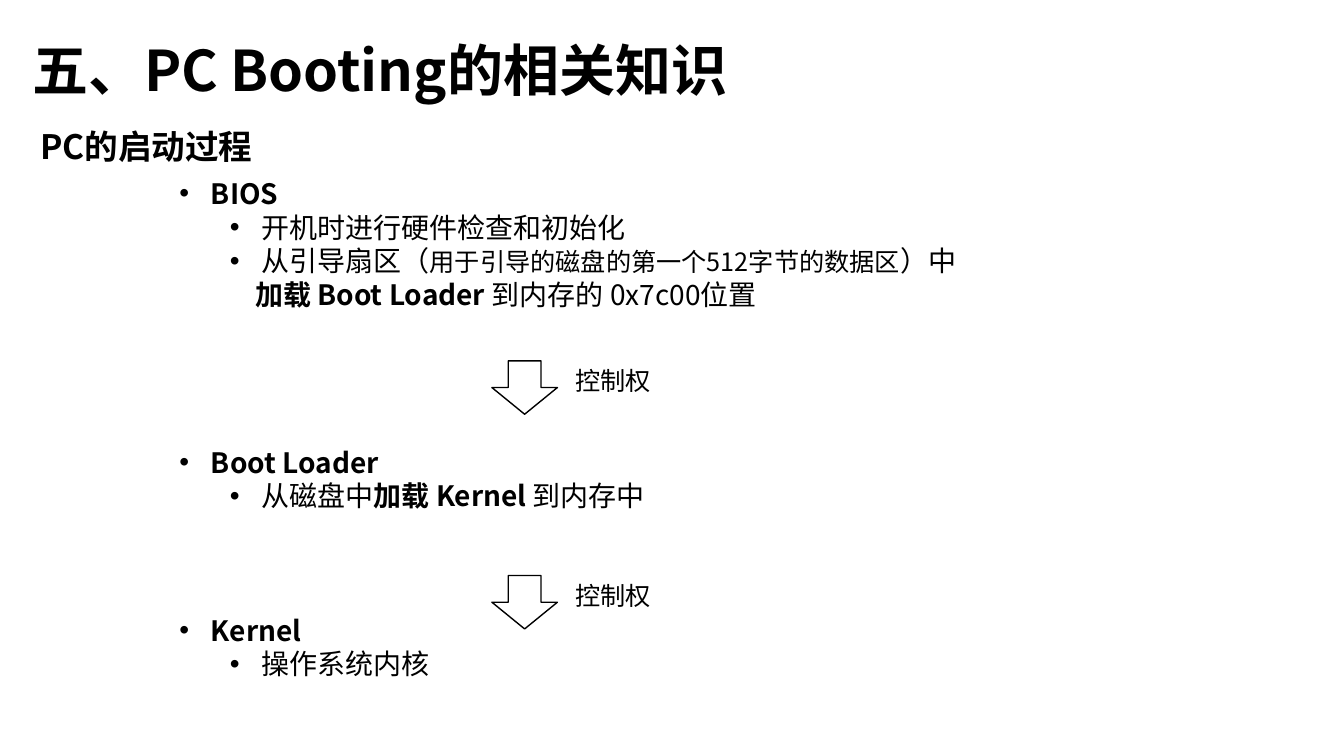
from dataclasses import dataclass

from lxml.etree import SubElement
from pptx import Presentation
from pptx.dml.color import RGBColor
from pptx.enum.shapes import MSO_SHAPE
from pptx.enum.text import MSO_ANCHOR, MSO_AUTO_SIZE, PP_ALIGN
from pptx.oxml.ns import qn
from pptx.util import Pt

FONT = "Noto Sans CJK SC"
COLORS = {"text": "000000", "line": "000000", "fill": "FFFFFF"}
LINE = 1.2  # line pitch relative to the text size
BODY_SIZE = 20
HANGING = 22.5


@dataclass
class Run:
    text: str
    bold: bool = False
    size: float = BODY_SIZE


@dataclass
class Item:
    runs: list[Run]
    level: int = 0
    margin: float = HANGING
    bullet: bool = True
    gap_lines: int = 0


def heading(text: str, gap_lines: int = 0) -> Item:
    return Item([Run(text, bold=True)], gap_lines=gap_lines)


def detail(*runs: Run, margin: float = 58.5, bullet: bool = True) -> Item:
    return Item(list(runs), level=1, margin=margin, bullet=bullet)


ITEMS = [
    heading("BIOS"),
    detail(Run("开机时进行硬件检查和初始化")),
    detail(Run("从引导扇区（"), Run("用于引导的磁盘的第一个512字节的数据区", size=18), Run("）中")),
    detail(Run("加载 Boot Loader ", bold=True), Run("到内存的 0x7c00位置"),
           margin=54, bullet=False),
    heading("Boot Loader", gap_lines=4),
    detail(Run("从磁盘中"), Run("加载 Kernel ", bold=True), Run("到内存中")),
    heading("Kernel", gap_lines=3),
    detail(Run("操作系统内核")),
]
HANDOVER_TOPS = [257.76, 411.12]


def color(name: str) -> RGBColor:
    return RGBColor.from_string(COLORS[name])


def add_text(p, text: str, *, size: float = BODY_SIZE, bold: bool = False) -> None:
    r = p.add_run()
    r.text = text
    r.font.size = Pt(size)
    r.font.bold = bold
    r.font.name = FONT
    r.font.color.rgb = color("text")
    SubElement(r.font._element, qn("a:ea"), typeface=FONT)


def place(sp, left: float, top: float, width: float, height: float):
    """Move the shape and return its text frame, ready for text."""
    sp.left, sp.top, sp.width, sp.height = map(Pt, (left, top, width, height))
    tf = sp.text_frame
    tf.word_wrap = True
    tf.auto_size = MSO_AUTO_SIZE.NONE
    return tf


def add_label(slide, text: str, box: tuple[float, ...], *, size: float, bold: bool = False) -> None:
    tf = place(slide.shapes.add_textbox(0, 0, 0, 0), *box)
    p = tf.paragraphs[0]
    p.line_spacing = Pt(size * LINE)
    add_text(p, text, size=size, bold=bold)


def add_item(p, item: Item) -> None:
    pitch = BODY_SIZE * LINE
    p.level = item.level
    p.alignment = PP_ALIGN.LEFT
    p.line_spacing = Pt(pitch)
    p.space_before = Pt(item.gap_lines * pitch)
    p.space_after = Pt(0)
    pPr = p._p.get_or_add_pPr()
    pPr.set("marL", str(Pt(item.margin)))
    pPr.set("indent", str(Pt(-HANGING if item.bullet else 0)))
    if item.bullet:
        SubElement(pPr, qn("a:buFont"), typeface="Arial")
        SubElement(pPr, qn("a:buChar"), char="•")
    else:
        SubElement(pPr, qn("a:buNone"))
    for run in item.runs:
        add_text(p, run.text, size=run.size, bold=run.bold)


def add_handover(slide, top: float) -> None:
    """Draw a down arrow with its label."""
    sp = slide.shapes.add_shape(MSO_SHAPE.DOWN_ARROW, Pt(351.36), Pt(top), Pt(46.8), Pt(38.16))
    sp.shadow.inherit = False
    sp.fill.solid()
    sp.fill.fore_color.rgb = color("fill")
    sp.line.color.rgb = color("line")
    sp.line.width = Pt(1)
    add_label(slide, "控制权", (403.92, top, 81.36, 28.8), size=18)


def main() -> None:
    prs = Presentation()
    prs.slide_width, prs.slide_height = Pt(960), Pt(540)
    slide = prs.slides.add_slide(prs.slide_layouts[1])
    title, body = slide.placeholders

    tf = place(title, 15.84, 0, 828, 104.4)
    tf.vertical_anchor = MSO_ANCHOR.MIDDLE
    p = tf.paragraphs[0]
    p.alignment = PP_ALIGN.LEFT
    p.line_spacing = 0.9
    add_text(p, "五、PC Booting的相关知识", size=40, bold=True)

    tf = place(body, 120.96, 122.4, 647.28, 370.8)
    for i, item in enumerate(ITEMS):
        add_item(tf.add_paragraph() if i else tf.paragraphs[0], item)

    add_label(slide, "PC的启动过程", (21.6, 86.4, 235.44, 36), size=24, bold=True)
    for top in HANDOVER_TOPS:
        add_handover(slide, top)
    prs.save("out.pptx")


if __name__ == "__main__":
    main()
